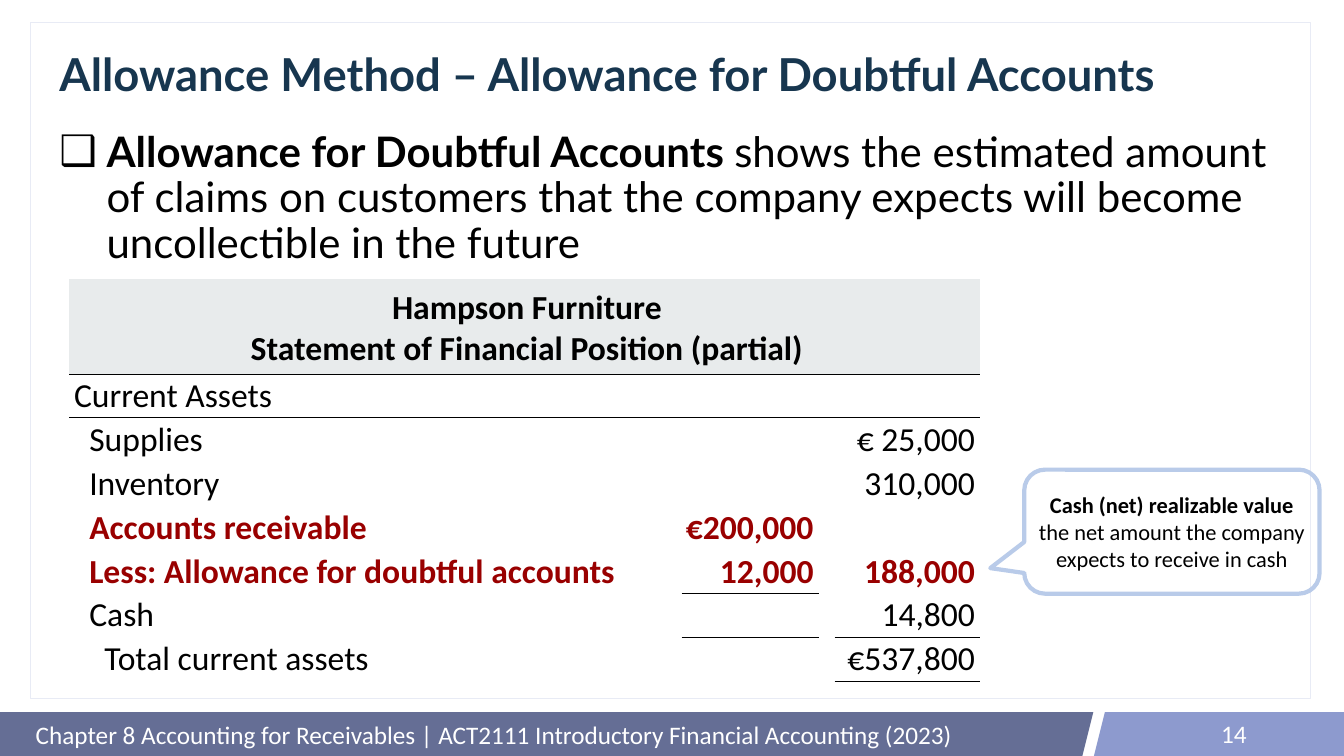
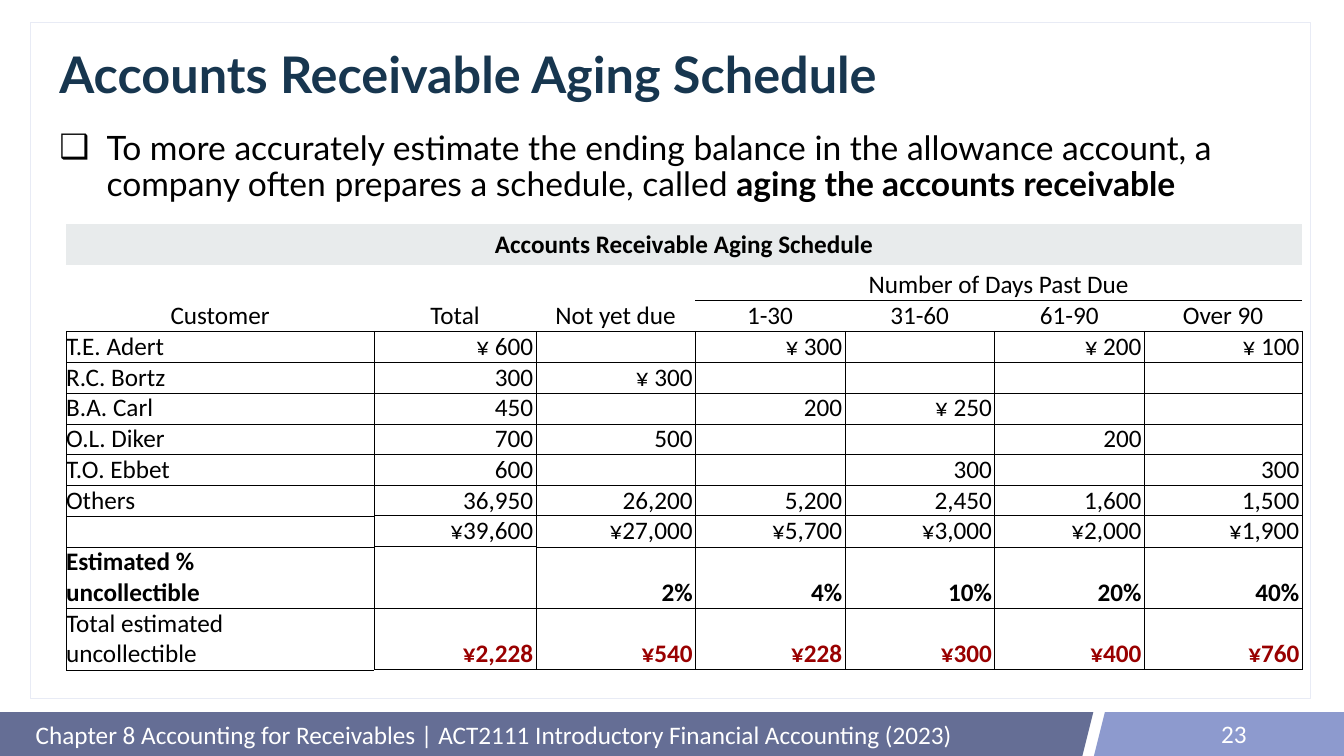
from lxml.etree import SubElement
from pptx import Presentation
from pptx.dml.color import RGBColor
from pptx.enum.shapes import MSO_SHAPE
from pptx.enum.text import MSO_ANCHOR, MSO_AUTO_SIZE, PP_ALIGN
from pptx.oxml.ns import qn
from pptx.util import Cm, Pt

colour = RGBColor.from_string
BLACK, WHITE, NAVY, RED = "000000", "FFFFFF", "17364F", "990000"
SLATE, PERIWINKLE, PALE_LILAC = "656E95", "8D9ACE", "E8EBF5"
HEADER_GREY, CALLOUT_BLUE = "E8EBEC", "B9CBE9"
HEADING_FONT, DETAIL_FONT = "Lato", "Calibri"
PLAIN_TABLE = "{2D5ABB26-0587-4C30-8999-92F81FD0307C}"
FOOTER = "Chapter 8 Accounting for Receivables | ACT2111 Introductory Financial Accounting (2023)"


def write(paragraph, text, size, hue=BLACK, bold=False, font=DETAIL_FONT):
    run = paragraph.add_run()
    run.text = text
    run.font.size = Pt(size)
    run.font.name = font
    run.font.bold = bold
    run.font.color.rgb = colour(hue)


def add_schedule(slide, left, top, widths, heights, rows, size, headers,
                 pad_y, pad_right, ruled, emphasis, gridded=False):
    """Add a table; ruled holds the cells with a heavy line below,
    emphasis maps bold cells to their colour."""
    frame = slide.shapes.add_table(len(rows), len(widths), Cm(left), Cm(top),
                                   Cm(sum(widths)), Cm(sum(heights)))
    table = frame.table
    table.first_row = table.horz_banding = False
    frame.element.find(".//" + qn("a:tableStyleId")).text = PLAIN_TABLE
    for column, width in zip(table.columns, widths):
        column.width = Cm(width)
    for row, height in zip(table.rows, heights):
        row.height = Cm(height)

    for r, texts in enumerate(rows):
        for c, text in enumerate(texts):
            cell = table.cell(r, c)
            base = 0.25 if gridded and r >= headers else 0
            weights = {"a:lnL": base, "a:lnR": base,
                       "a:lnT": 1.5 if (r - 1, c) in ruled else base,
                       "a:lnB": 1.5 if (r, c) in ruled else base}
            properties = cell._tc.get_or_add_tcPr()
            for side, weight in weights.items():
                if weight:
                    edge = SubElement(properties, qn(side), w=str(Pt(weight)))
                    ink = SubElement(edge, qn("a:solidFill"))
                    SubElement(ink, qn("a:srgbClr"), val=BLACK)
            if r == 0:
                cell.fill.solid()
                cell.fill.fore_color.rgb = colour(HEADER_GREY)
            else:
                cell.fill.background()

            cell.vertical_anchor = MSO_ANCHOR.BOTTOM
            cell.margin_left = 0
            cell.margin_right = Cm(pad_right if c and r >= headers else 0)
            cell.margin_top = cell.margin_bottom = Cm(0.25 if r == 0 else pad_y)
            if not text:
                continue
            for i, line in enumerate(text.split("\n")):
                body = cell.text_frame
                paragraph = body.add_paragraph() if i else body.paragraphs[0]
                if r < headers:
                    paragraph.alignment = PP_ALIGN.CENTER
                else:
                    paragraph.alignment = PP_ALIGN.RIGHT if c else PP_ALIGN.LEFT
                write(paragraph, line, size, emphasis.get((r, c), BLACK),
                      (r, c) in emphasis)
    table.cell(0, 0).merge(table.cell(0, len(widths) - 1))
    return table


prs = Presentation()
prs.slide_width, prs.slide_height = Cm(67.72), Cm(38.1)
layout = prs.slide_layouts[5]
position_slide = prs.slides.add_slide(layout)
aging_slide = prs.slides.add_slide(layout)

# Shared backdrop: footer band and content panel, kept on the layout
backdrop = [
    (MSO_SHAPE.RECTANGLE, 0, 35.89, 50.67, 2.21, SLATE),
    (MSO_SHAPE.PARALLELOGRAM, 44.17, 35.89, 10.92, 2.21, SLATE),
    (MSO_SHAPE.PARALLELOGRAM, 55.12, 35.89, 10.92, 2.21, PERIWINKLE),
    (MSO_SHAPE.RECTANGLE, 56.82, 35.89, 10.9, 2.21, PERIWINKLE),
    (MSO_SHAPE.RECTANGLE, 1.55, 1.12, 64.49, 34.06, WHITE),
]
for kind, left, top, width, height, hue in backdrop:
    part = position_slide.shapes.add_shape(kind, Cm(left), Cm(top), Cm(width), Cm(height))
    part.shadow.inherit = False
    part.fill.solid()
    part.fill.fore_color.rgb = colour(hue)
    if hue == WHITE:
        part.line.color.rgb = colour(PALE_LILAC)
        part.line.width = Pt(1)
        SubElement(part.element.spPr.find(".//" + qn("a:srgbClr")), qn("a:alpha"), val="85000")
    else:
        part.line.fill.background()
    layout.shapes.element.append(part.element)

# Title, opening point and footer of each slide
openings = [
    (position_slide, "Allowance Method – Allowance for Doubtful Accounts", 64.8, 60, "14",
     [("Allowance for Doubtful Accounts ", True),
      ("shows the estimated amount of claims on customers that the company expects "
       "will become uncollectible in the future", False)]),
    (aging_slide, "Accounts Receivable Aging Schedule", 72, 48, "23",
     [("To more accurately estimate the ending balance in the allowance account, "
       "a company often prepares a schedule, called ", False),
      ("aging the accounts receivable", True)]),
]
for slide, heading, heading_size, point_size, number, point in openings:
    title = slide.shapes.title
    title.left, title.top, title.width, title.height = Cm(2.74), Cm(2.03), Cm(61.95), Cm(3.68)
    title.text_frame.auto_size = MSO_AUTO_SIZE.NONE
    title.text_frame.vertical_anchor = MSO_ANCHOR.MIDDLE
    paragraph = title.text_frame.paragraphs[0]
    paragraph.alignment = PP_ALIGN.LEFT
    paragraph.line_spacing = 0.9
    write(paragraph, heading, heading_size, NAVY, True, HEADING_FONT)

    opening = slide.shapes.add_textbox(Cm(2.74), Cm(6.48), Cm(61.95), Cm(27.86))
    opening.text_frame.word_wrap = True
    paragraph = opening.text_frame.paragraphs[0]
    paragraph.line_spacing = 0.9
    indents = paragraph._p.get_or_add_pPr()
    indents.set("marL", str(Cm(2.38)))
    indents.set("indent", str(-Cm(2.38)))
    SubElement(indents, qn("a:buFont"), typeface="Arial")
    SubElement(indents, qn("a:buChar"), char="❑")
    for text, bold in point:
        write(paragraph, text, point_size, BLACK, bold, HEADING_FONT)

    for text, left, width, height, align in [
            (FOOTER, 1.55, 52.32, 2.16, PP_ALIGN.LEFT),
            (number, 47.83, 15.24, 2.03, PP_ALIGN.RIGHT)]:
        footer = slide.shapes.add_textbox(Cm(left), Cm(35.94), Cm(width), Cm(height))
        footer.text_frame.word_wrap = True
        footer.text_frame.vertical_anchor = MSO_ANCHOR.MIDDLE
        footer.text_frame.paragraphs[0].alignment = align
        write(footer.text_frame.paragraphs[0], text, 36, WHITE)

# Statement of financial position
position_rows = [
    ("Hampson Furniture\nStatement of Financial Position (partial)", "", "", ""),
    ("Current Assets", "", "", ""),
    ("Supplies", "", "", "€ 25,000"),
    ("Inventory", "", "", "310,000"),
    ("Accounts receivable", "€200,000", "", ""),
    ("Less: Allowance for doubtful accounts", "12,000", "", "188,000"),
    ("Cash", "", "", "14,800"),
    ("Total current assets", "", "", "€537,800"),
]
position = add_schedule(
    position_slide, 3.48, 14.05, [30.86, 6.91, 0.81, 7.32], [4.8] + [2.21] * 7,
    position_rows, size=48, headers=1, pad_y=0.08, pad_right=0.25,
    ruled={(0, c) for c in range(4)} | {(5, 1), (6, 3), (7, 3)},
    emphasis={(0, 0): BLACK} | {(r, c): RED for r in (4, 5) for c in range(4)})
for r, indent in enumerate([0.25] * 2 + [1.02] * 5 + [1.78]):
    position.cell(r, 0).margin_left = Cm(indent)

callout = position_slide.shapes.add_shape(
    MSO_SHAPE.ROUNDED_RECTANGULAR_CALLOUT, Cm(51.61), Cm(23.67), Cm(14.88), Cm(6.25))
callout.adjustments[0] = -0.615
callout.adjustments[1] = 0.294
callout.adjustments[2] = 0.167
callout.shadow.inherit = False
callout.fill.background()
callout.line.color.rgb = colour(CALLOUT_BLUE)
callout.line.width = Pt(6)
definition = callout.text_frame
definition.word_wrap = True
definition.vertical_anchor = MSO_ANCHOR.MIDDLE
write(definition.paragraphs[0], "Cash (net) realizable value", 32, bold=True)
write(definition.add_paragraph(), "the net amount the company expects to receive in cash", 32)
for paragraph in definition.paragraphs:
    paragraph.alignment = PP_ALIGN.CENTER

# Aging schedule
aging_rows = [
    ("Accounts Receivable Aging Schedule", "", "", "", "", "", ""),
    ("", "", "", "Number of Days Past Due", "", "", ""),
    ("Customer", "Total", "Not yet due", "1-30", "31-60", "61-90", "Over 90"),
    ("T.E. Adert", "¥ 600", "", "¥ 300", "", "¥ 200", "¥ 100"),
    ("R.C. Bortz", "300", "¥ 300", "", "", "", ""),
    ("B.A. Carl", "450", "", "200", "¥ 250", "", ""),
    ("O.L. Diker", "700", "500", "", "", "200", ""),
    ("T.O. Ebbet", "600", "", "", "300", "", "300"),
    ("Others", "36,950", "26,200", "5,200", "2,450", "1,600", "1,500"),
    ("", "¥39,600", "¥27,000", "¥5,700", "¥3,000", "¥2,000", "¥1,900"),
    ("Estimated %\nuncollectible", "", "2%", "4%", "10%", "20%", "40%"),
    ("Total estimated\nuncollectible", "¥2,228", "¥540", "¥228", "¥300", "¥400", "¥760"),
]
first_ruled = {1: 3, 2: 0, 8: 1, 10: 2, 11: 1}
aging = add_schedule(
    aging_slide, 3.33, 11.3, [15.52, 8.15, 8.03, 7.54, 7.54, 7.54, 7.95],
    [2.05, 1.8] + [1.55] * 8 + [3.1] * 2,
    aging_rows, size=36, headers=3, pad_y=0, pad_right=0.13,
    ruled={(r, c) for r, first in first_ruled.items() for c in range(first, 7)} | {(9, 1)},
    emphasis={(0, 0): BLACK} | {(10, c): BLACK for c in range(7)}
    | {(11, c): RED for c in range(1, 7)},
    gridded=True)
aging.cell(1, 3).margin_top = Cm(0.25)
aging.cell(1, 3).merge(aging.cell(1, 6))

prs.save("out.pptx")
